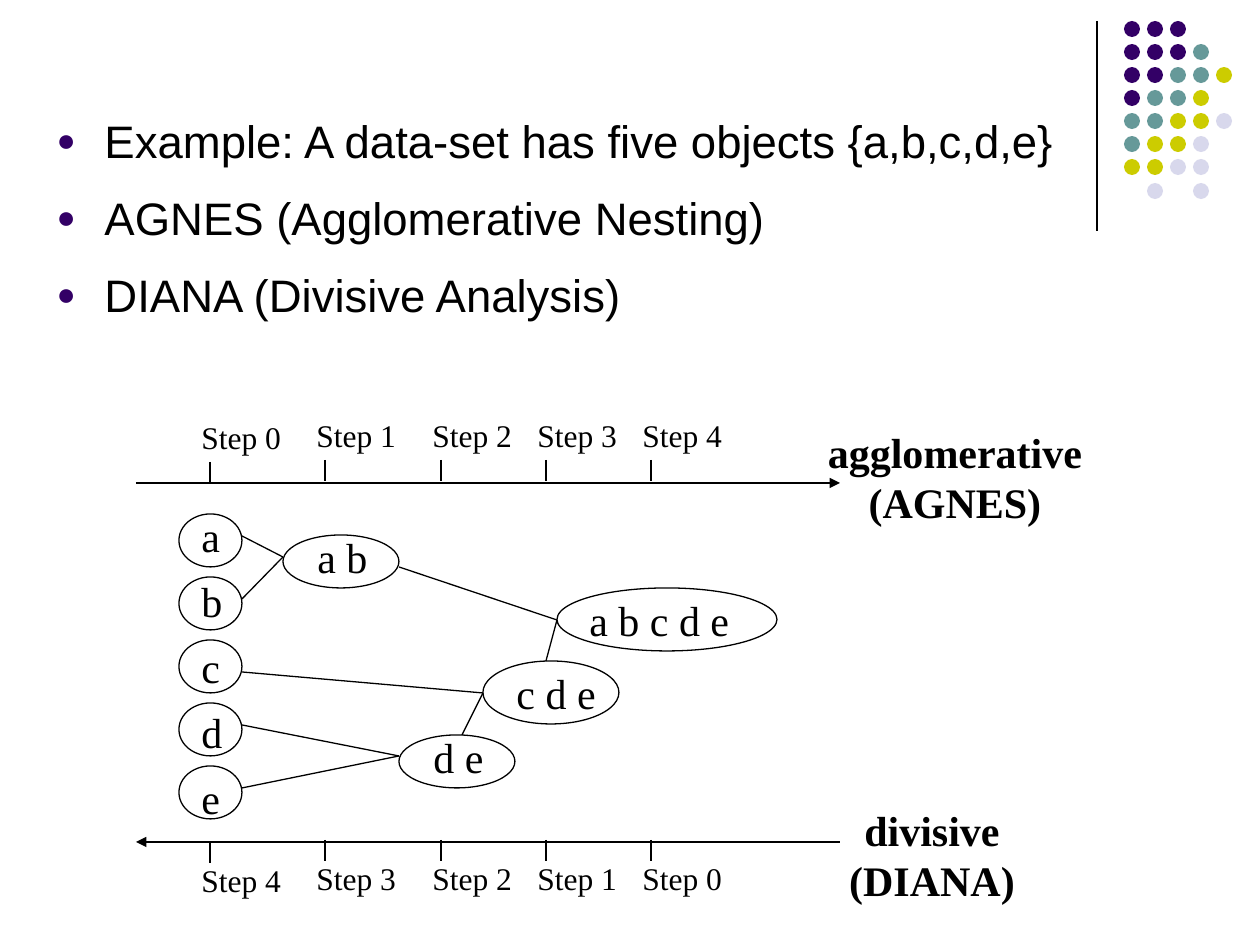
from lxml import etree
from pptx import Presentation
from pptx import util as u
from pptx.dml import color
from pptx.enum import shapes, text
from pptx.oxml import ns

SCALE = 914400 // 126
HUES = {"ink": "000000", "plum": "330066", "teal": "669999",
        "lime": "CCCC00", "mist": "D8D8EC"}
DOTS = ["PPP", "PPPT", "PPTTL", "PTTL", "TTLLM", "TLLM", "LLMM", " M M"]
KEYS = {"P": "plum", "T": "teal", "L": "lime", "M": "mist"}
TICKS = [210, 325, 441, 546, 651]
NODES = [
    ("a b", (283, 535, 116, 53), (305, 525, 76)),
    ("d e", (399, 735, 116, 53), (421, 725, 76)),
    ("c d e", (483, 661, 136, 63), (504, 661, 105)),
    ("a b c d e", (557, 588, 220, 63), (577, 588, 165)),
]
LINKS = [
    (242, 536, 283, 557), (242, 599, 283, 557),
    (242, 725, 399, 756), (242, 788, 399, 756),
    (242, 672, 483, 693), (462, 735, 483, 693),
    (399, 567, 557, 620), (546, 661, 557, 620),
]
POINTS = [
    "Example: A data-set has five objects {a,b,c,d,e}",
    "AGNES (Agglomerative Nesting)",
    "DIANA (Divisive Analysis)",
]


def px(*vals):
    return [u.Emu(round(v * SCALE)) for v in vals]


def hue(name):
    return color.RGBColor.from_string(HUES[name])


def put(item, vals):
    for key, val in vals.items():
        setattr(item, key, val)


def node(root, tag, **vals):
    return etree.SubElement(root, ns.qn(tag), vals)


def line(slide, ends, width=0.74, arrow=None):
    item = slide.shapes.add_connector(shapes.MSO_CONNECTOR.STRAIGHT, *px(*ends))
    item.line.color.rgb = hue("ink")
    item.line.width = u.Pt(width)
    if arrow:
        node(item.line._get_or_add_ln(), arrow, type="triangle")
    node(item._element.spPr, "a:effectLst")


def oval(slide, box, fill=None):
    item = slide.shapes.add_shape(shapes.MSO_SHAPE.OVAL, *px(*box))
    item.shadow.inherit = False
    if fill:
        item.fill.solid()
        item.fill.fore_color.rgb = hue(fill)
        item.line.fill.background()
    else:
        item.fill.background()
        item.line.color.rgb = hue("ink")
        item.line.width = u.Pt(0.74)


def write(frame, rows, font, para):
    frame.text = "\n".join(rows)
    for row in frame.paragraphs:
        put(row, para)
        for run in row.runs:
            put(run.font, font)
            run.font.color.rgb = hue("ink")


def label(slide, box, rows, size=24, bold=False, wrap=False, side="LEFT"):
    frame = slide.shapes.add_textbox(*px(*box)).text_frame
    frame.word_wrap = wrap
    write(frame, rows,
          {"name": "Times New Roman", "size": u.Pt(size), "bold": bold},
          {"alignment": getattr(text.PP_ALIGN, side)})


def points(slide):
    body = slide.placeholders[1]
    put(body, dict(zip(("left", "top", "width", "height"), px(44, 96, 1095, 277))))
    frame = body.text_frame
    put(frame, {"auto_size": text.MSO_AUTO_SIZE.NONE, "word_wrap": True,
                "vertical_anchor": text.MSO_ANCHOR.TOP})
    write(frame, POINTS, {"name": "Arial", "size": u.Pt(26)},
          {"line_spacing": 1.2, "space_before": u.Pt(6.5)})
    for row in frame.paragraphs:
        prop = row._p.get_or_add_pPr()
        prop.set("marL", str(u.Inches(0.38)))
        prop.set("indent", str(-u.Inches(0.38)))
        node(node(prop, "a:buClr"), "a:srgbClr", val=HUES["plum"])
        node(prop, "a:buSzPct", val="70000")
        node(prop, "a:buFont", typeface="Arial")
        node(prop, "a:buChar", char="●")


def dots(slide):
    line(slide, (1097, 21, 1097, 231))
    for r, row in enumerate(DOTS):
        for c, key in enumerate(row):
            if key in KEYS:
                oval(slide, (1124 + 23 * c, 21 + 162 * r // 7, 16, 16), KEYS[key])


def axis(slide, y, arrow, tick, top, steps):
    line(slide, (136, y, 840, y), 1.5, arrow)
    for i, (x, step) in enumerate(zip(TICKS, steps)):
        drop = 0 if i else 2
        line(slide, (x, tick + drop, x, tick + drop + 21))
        label(slide, (x - 21, top + drop, 105, 50), [f"Step {step}"], 18, wrap=True)


def tree(slide):
    for i, name in enumerate("abcde"):
        label(slide, (189, 504 + 131 * i // 2, 45, 63), [name])
        oval(slide, (179, 514 + 63 * i, 63, 53))
    for name, box, (x, y, w) in NODES:
        label(slide, (x, y, w, 63), [name])
        oval(slide, box)
    for ends in LINKS:
        line(slide, ends)


def main():
    deck = Presentation()
    deck.slide_width, deck.slide_height = px(1260, 945)
    slide = deck.slides.add_slide(deck.slide_layouts[1])
    title = slide.shapes.title._element
    title.getparent().remove(title)
    dots(slide)
    points(slide)
    axis(slide, 483, "a:tailEnd", 460, 410, range(5))
    tree(slide)
    axis(slide, 842, "a:headEnd", 840, 853, range(4, -1, -1))
    for box, rows in [((810, 420, 290, 113), ["agglomerative", "(AGNES)"]),
                      ((827, 798, 210, 113), ["divisive", "(DIANA)"])]:
        label(slide, box, rows, bold=True, side="CENTER")
    deck.save("out.pptx")


main()
